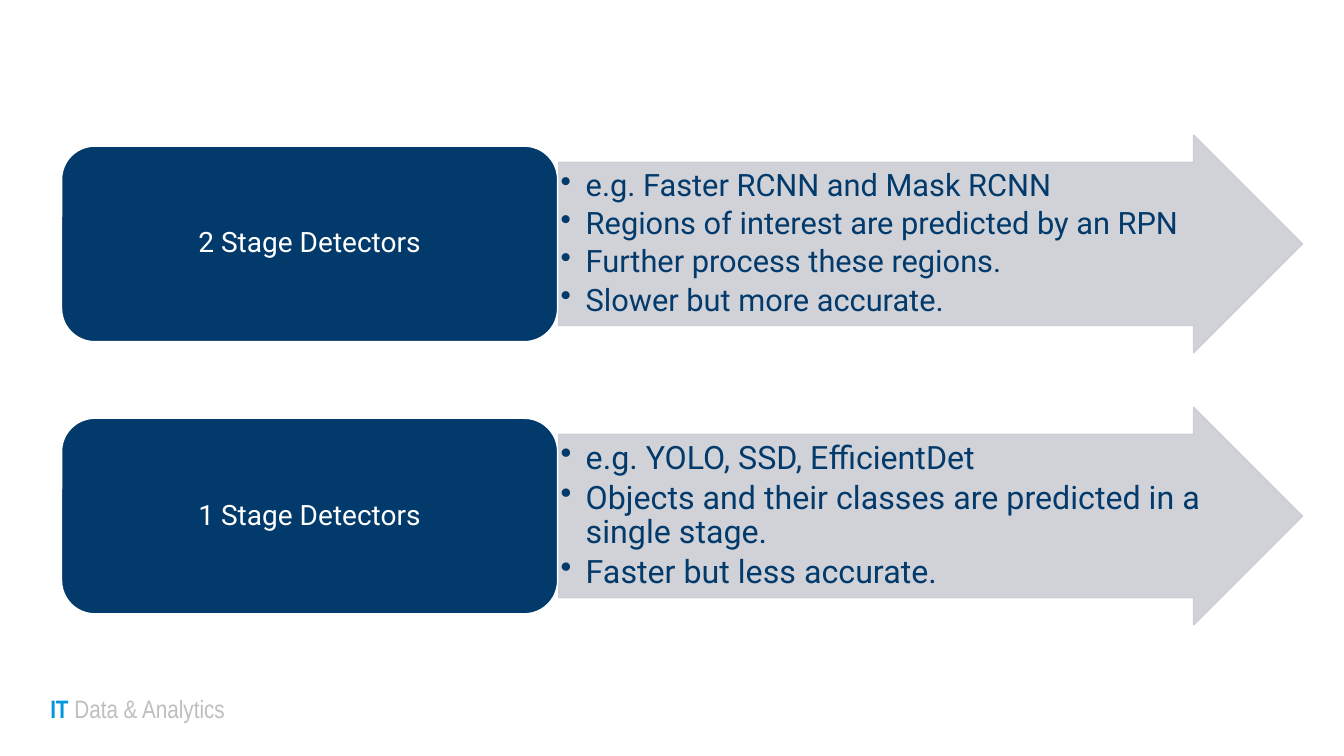
"""Build a slide that sets two-stage detectors against one-stage detectors."""
from typing import NamedTuple

from pptx import Presentation
from pptx.dml.color import RGBColor
from pptx.dml.fill import FillFormat
from pptx.enum.shapes import MSO_SHAPE as Preset
from pptx.enum.text import MSO_ANCHOR as Anchor, MSO_AUTO_SIZE as AutoSize, PP_ALIGN as Align
from pptx.oxml.ns import qn
from pptx.util import Emu, Inches, Pt

NAVY, GREY, WHITE = "023A6B", "CCCED4", "FFFFFF"
SLIDE_WIDTH, SLIDE_HEIGHT = Inches(13.33), Inches(7.5)
FIRST_ROW, ROW_PITCH = 32.27, 36.0


class Detector(NamedTuple):
    """One row: the name in the box and the traits in the arrow."""
    name: str
    traits: list[str]
    trait_size: int


class Block(NamedTuple):
    """Look of a row part; lengths are percent of the slide, margins are inches."""
    preset: Preset
    left: float
    width: float
    height: float
    adjustments: list[float]
    fill: str
    line: str
    opacity: int
    margins: tuple[float, float]


DETECTORS = [
    Detector("2 Stage Detectors", [
        "e.g. Faster RCNN and Mask RCNN",
        "Regions of interest are predicted by an RPN",
        "Further process these regions.",
        "Slower but more accurate.",
    ], 22),
    Detector("1 Stage Detectors", [
        "e.g. YOLO, SSD, EfficientDet",
        "Objects and their classes are predicted in a single stage.",
        "Faster but less accurate.",
    ], 23),
]
ARROW = Block(Preset.RIGHT_ARROW, 41.56, 55.36, 28.8, [0.75, 0.5], GREY, GREY, 90, (0.02, 0.02))
BOX = Block(Preset.ROUNDED_RECTANGLE, 4.58, 36.91, 25.87, [0.17], NAVY, WHITE, 100, (0.08, 0.04))


def color(code: str) -> RGBColor:
    """Turn a hex string into a colour."""
    return RGBColor.from_string(code)


def across(percent: float) -> Emu:
    """Length as a share of the slide width."""
    return Emu(round(SLIDE_WIDTH * percent / 100))


def down(percent: float) -> Emu:
    """Length as a share of the slide height."""
    return Emu(round(SLIDE_HEIGHT * percent / 100))


def apply(target, values: dict) -> None:
    """Set each format value on the target."""
    for name, value in values.items():
        setattr(target, name, value)


def paint(fill: FillFormat, code: str, opacity: int) -> None:
    """Give a fill a solid colour with an opacity in percent."""
    fill.solid()
    fill.fore_color.rgb = color(code)
    if opacity < 100:
        for tone in fill._xPr.iter(qn("a:srgbClr")):
            alpha = tone.makeelement(qn("a:alpha"), {"val": str(opacity * 1000)})
            tone.append(alpha)


def style_font(font, family: str, size: int, code: str, bold: bool = False) -> None:
    """Set family, size, colour and weight of a font."""
    apply(font, {"name": family, "size": Pt(size), "bold": bold})
    font.color.rgb = color(code)


def add_block(slide, block: Block, center: float):
    """Draw a row part centred on a height and return its text frame."""
    shape = slide.shapes.add_shape(
        block.preset, across(block.left), down(center - block.height / 2),
        across(block.width), down(block.height))
    shape.shadow.inherit = False
    for index, value in enumerate(block.adjustments):
        shape.adjustments[index] = value
    paint(shape.fill, block.fill, block.opacity)
    paint(shape.line.fill, block.line, block.opacity)
    shape.line.width = Pt(1)
    side, edge = map(Inches, block.margins)
    frame = shape.text_frame
    apply(frame, {"word_wrap": True, "vertical_anchor": Anchor.MIDDLE,
                  "margin_left": side, "margin_right": side,
                  "margin_top": edge, "margin_bottom": edge})
    return frame


def add_bullet(paragraph) -> None:
    """Give a paragraph a round bullet with a hanging indent."""
    properties = paragraph._p.get_or_add_pPr()
    indent = Inches(0.25)
    properties.set("marL", str(indent))
    properties.set("indent", str(-indent))
    bullet = properties.makeelement(qn("a:buChar"), {"char": "•"})
    properties.append(bullet)


def add_detector(slide, detector: Detector, center: float) -> None:
    """Draw the arrow with its traits and the box with the name."""
    traits = add_block(slide, ARROW, center)
    for index, trait in enumerate(detector.traits):
        paragraph = traits.add_paragraph() if index else traits.paragraphs[0]
        paragraph.text = trait
        add_bullet(paragraph)
        apply(paragraph, {"level": 1, "alignment": Align.LEFT,
                          "line_spacing": 0.9, "space_after": Pt(3.5)})
        style_font(paragraph.runs[0].font, "Roboto", detector.trait_size, NAVY)
    name = add_block(slide, BOX, center).paragraphs[0]
    name.text = detector.name
    apply(name, {"alignment": Align.CENTER, "line_spacing": 0.9})
    style_font(name.runs[0].font, "Roboto", 20, WHITE)


def add_footer(slide) -> None:
    """Write the department label at the lower left."""
    footer = slide.shapes.add_textbox(across(3), down(91.07), across(20.4), down(5.33)).text_frame
    apply(footer, {"word_wrap": True, "auto_size": AutoSize.SHAPE_TO_FIT_TEXT})
    for text, code, bold in [("IT ", "0098DC", True), ("Data & Analytics", "BFBFBF", False)]:
        run = footer.paragraphs[0].add_run()
        run.text = text
        style_font(run.font, "Arial Narrow", 18, code, bold)


def main() -> None:
    """Build and save the slide."""
    deck = Presentation()
    apply(deck, {"slide_width": SLIDE_WIDTH, "slide_height": SLIDE_HEIGHT})
    slide = deck.slides.add_slide(deck.slide_layouts[6])
    add_footer(slide)
    for row, detector in enumerate(DETECTORS):
        add_detector(slide, detector, FIRST_ROW + row * ROW_PITCH)
    deck.save("out.pptx")


if __name__ == "__main__":
    main()
